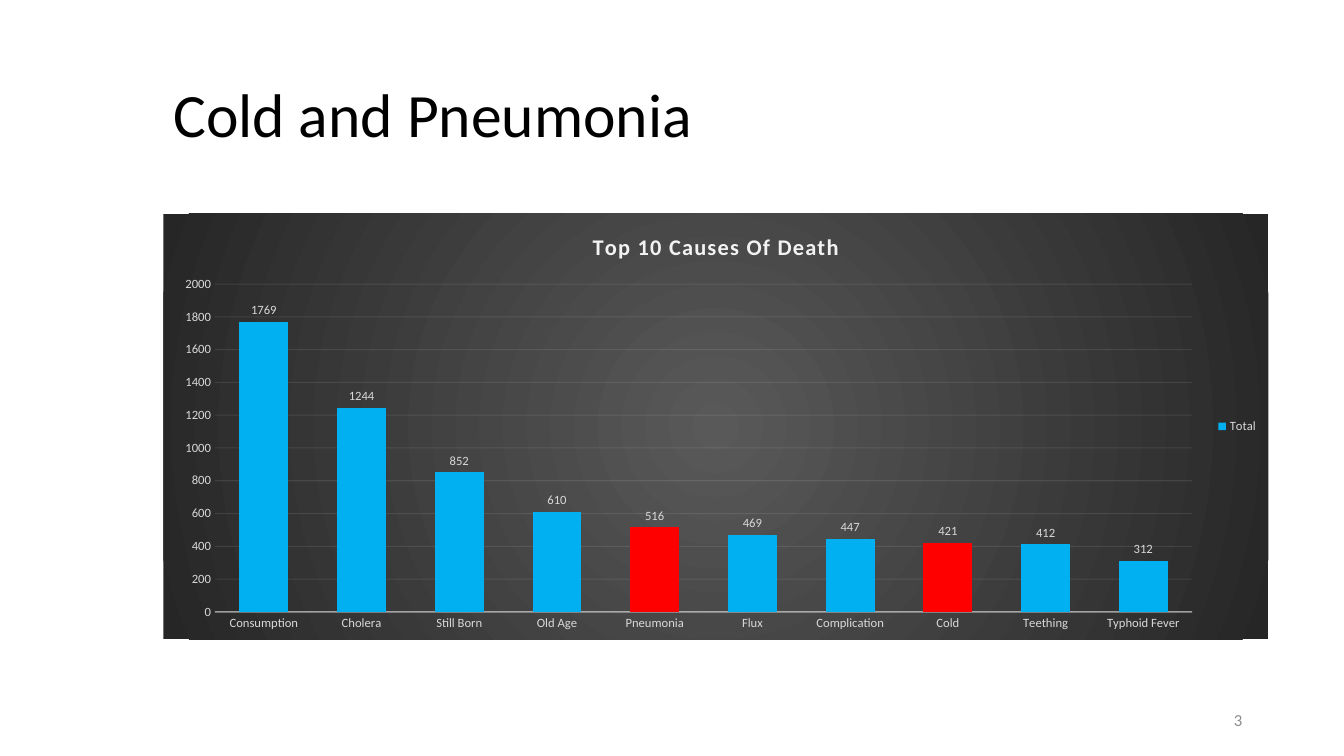
"""Build the slide on cold and pneumonia among the top ten causes of death."""
from lxml import etree
from pptx import Presentation, util as u
from pptx.chart.data import CategoryChartData
from pptx.dml.color import RGBColor
from pptx.enum import chart as charts, text
from pptx.oxml import parse_xml
from pptx.oxml.ns import nsdecls, qn

FONT = "Calibri"
TITLE = "Cold and Pneumonia"
PAGE_NUMBER = "3"
CHART_TITLE = "Top 10 Causes Of Death"
SERIES_NAME = "Total"
DEATHS = {
    "Consumption": 1769,
    "Cholera": 1244,
    "Still Born": 852,
    "Old Age": 610,
    "Pneumonia": 516,
    "Flux": 469,
    "Complication": 447,
    "Cold": 421,
    "Teething": 412,
    "Typhoid Fever": 312,
}
HIGHLIGHTED = ("Pneumonia", "Cold")
BAR, HIGHLIGHT = "00B0F0", "FF0000"
LABEL, LIGHT = "D9D9D9", "F2F2F2"
CENTRE, EDGE = "595959", "262626"
TITLE_BOX = (1.62, 0.44, 10.62, 1.45)
CHART_BOX = (1.62, 2.12, 10.96, 4.22)
NUMBER_BOX = (9.42, 6.95, 3, 0.4)


def color(value):
    return RGBColor.from_string(value)


def inches(box):
    return [u.Inches(length) for length in box]


def style_font(font, size, value, bold=False):
    font.name, font.size, font.bold = FONT, u.Pt(size), bold
    font.color.rgb = color(value)


def add_text(slide, box, content, size, value, align):
    frame = slide.shapes.add_textbox(*inches(box)).text_frame
    frame.word_wrap = True
    frame.vertical_anchor = text.MSO_ANCHOR.MIDDLE
    paragraph = frame.paragraphs[0]
    paragraph.alignment = align
    paragraph.line_spacing = 0.9
    run = paragraph.add_run()
    run.text = content
    style_font(run.font, size, value)


def style_line(line, width, opacity):
    line.width = u.Pt(width)
    line.color.rgb = color(LIGHT)
    shade = next(line._get_or_add_ln().iter(qn("a:srgbClr")))
    etree.SubElement(shade, qn("a:alpha")).set("val", str(opacity * 1000))


def fill_background(chart):
    stops = "".join(
        f'<a:gs pos="{position}"><a:srgbClr val="{value}"/></a:gs>'
        for position, value in ((0, CENTRE), (100000, EDGE))
    )
    properties = parse_xml(
        f'<c:spPr {nsdecls("c", "a")}><a:gradFill><a:gsLst>{stops}</a:gsLst>'
        '<a:path path="circle"><a:fillToRect l="50000" t="50000" r="50000" b="50000"/>'
        "</a:path></a:gradFill><a:ln><a:noFill/></a:ln></c:spPr>"
    )
    chart._chartSpace.find(qn("c:chart")).addnext(properties)


def style_axes(chart):
    for axis in (chart.category_axis, chart.value_axis):
        axis.major_tick_mark = axis.minor_tick_mark = charts.XL_TICK_MARK.NONE
        style_font(axis.tick_labels.font, 9, LABEL)
    style_line(chart.category_axis.format.line, 1, 54)
    chart.value_axis.format.line.fill.background()
    chart.value_axis.has_major_gridlines = True
    style_line(chart.value_axis.major_gridlines.format.line, 0.75, 10)


def style_bars(plot):
    plot.gap_width, plot.overlap = 100, -24
    plot.vary_by_categories = False
    series = plot.series[0]
    series.invert_if_negative = False
    series.format.fill.solid()
    series.format.fill.fore_color.rgb = color(BAR)
    for index, cause in enumerate(DEATHS):
        if cause in HIGHLIGHTED:
            fill = series.points[index].format.fill
            fill.solid()
            fill.fore_color.rgb = color(HIGHLIGHT)
    labels = series.data_labels
    labels.show_value = True
    labels.position = charts.XL_LABEL_POSITION.OUTSIDE_END
    style_font(labels.font, 9, LABEL)


def add_deaths_chart(slide):
    data = CategoryChartData()
    data.categories = list(DEATHS)
    data.add_series(SERIES_NAME, DEATHS.values())
    chart = slide.shapes.add_chart(
        charts.XL_CHART_TYPE.COLUMN_CLUSTERED, *inches(CHART_BOX), data
    ).chart
    style_font(chart.font, 10, "000000")
    fill_background(chart)
    chart.has_title = True
    run = chart.chart_title.text_frame.paragraphs[0].add_run()
    run.text = CHART_TITLE
    style_font(run.font, 16, LIGHT, bold=True)
    run.font._rPr.set("spc", "100")
    chart.chart_title.include_in_layout = False
    chart.has_legend = True
    chart.legend.position = charts.XL_LEGEND_POSITION.RIGHT
    chart.legend.include_in_layout = False
    style_font(chart.legend.font, 9, LABEL)
    style_axes(chart)
    style_bars(chart.plots[0])


def main():
    presentation = Presentation()
    presentation.slide_width, presentation.slide_height = inches((13.33, 7.5))
    slide = presentation.slides.add_slide(presentation.slide_layouts[6])
    add_text(slide, TITLE_BOX, TITLE, 44, "000000", text.PP_ALIGN.LEFT)
    add_deaths_chart(slide)
    add_text(slide, NUMBER_BOX, PAGE_NUMBER, 12, "8C8C8C", text.PP_ALIGN.RIGHT)
    presentation.save("out.pptx")


if __name__ == "__main__":
    main()
